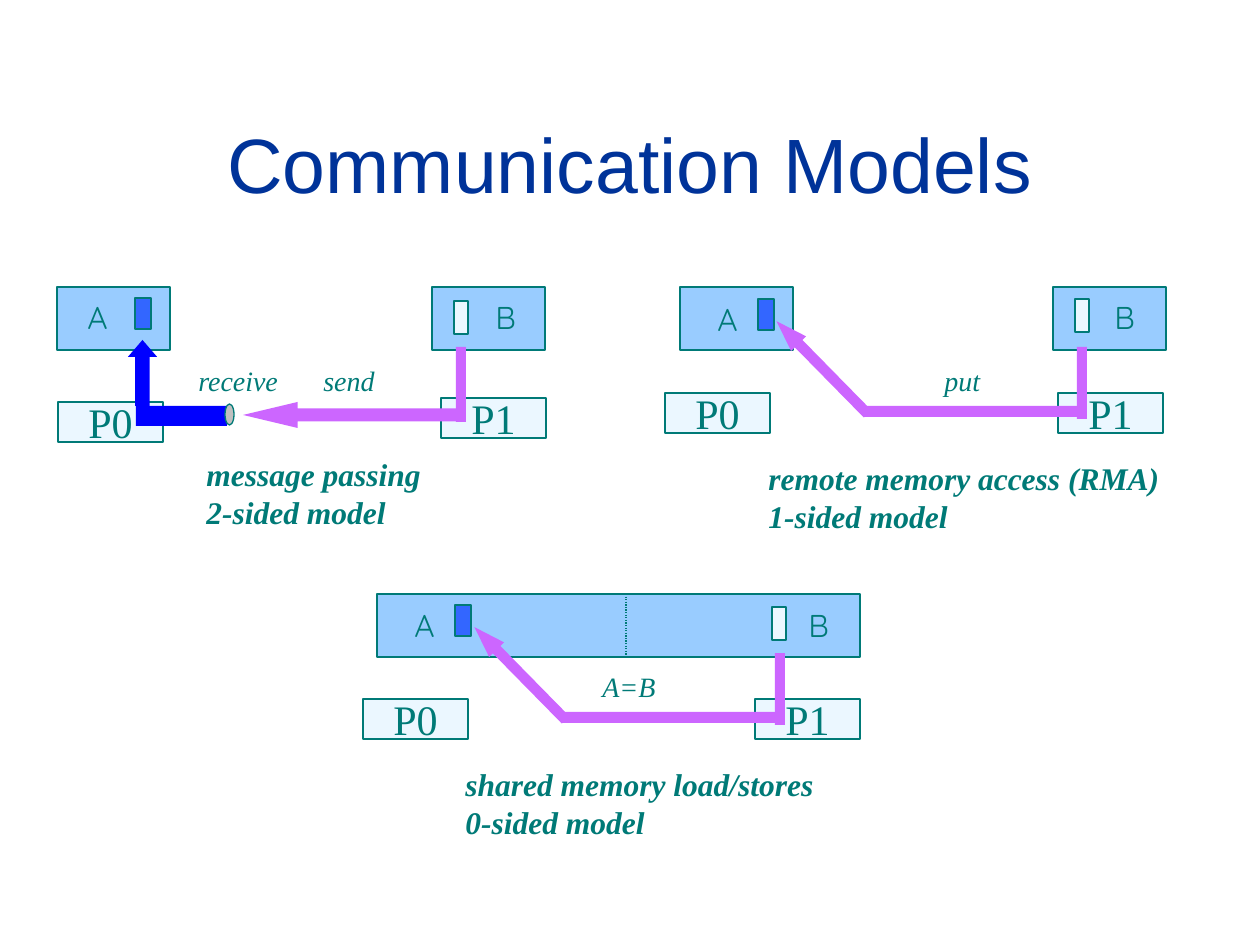
"""Build the Communication Models slide: message passing, remote memory access and shared memory."""
from dataclasses import dataclass

from lxml.etree import SubElement
from pptx import Presentation
from pptx.dml.color import RGBColor as Rgb
from pptx.enum.dml import MSO_LINE
from pptx.enum.shapes import MSO_CONNECTOR, MSO_SHAPE as Preset
from pptx.enum.text import MSO_ANCHOR as Anchor, MSO_AUTO_SIZE as AutoSize, PP_ALIGN as Align
from pptx.oxml.ns import qn
from pptx.util import Emu, Pt

SCALE = 914400 / 126


@dataclass(frozen=True)
class Theme:
    title: str = "003399"
    ink: str = "007A77"
    memory: str = "99CCFF"
    pale: str = "EBF7FF"
    target: str = "3366FF"
    receive: str = "0000FF"
    send: str = "CC66FF"
    buffer: str = "C0C0C0"
    title_size: int = 44
    processor_size: int = 24
    caption_size: int = 18
    action_size: int = 16
    hairline: float = 0.75
    sans: str = "Arial"
    serif: str = "Times New Roman"
    rounded: str = "Quicksand"


theme = Theme()


def write(shape, text, *, size, font=theme.serif, color=theme.ink, bold=False, italic=False,
          align=Align.LEFT, anchor=Anchor.TOP, wrap=False, fit=AutoSize.NONE):
    frame = shape.text_frame
    frame.text = text
    frame.word_wrap = wrap
    frame.auto_size = fit
    frame.vertical_anchor = anchor
    for paragraph in frame.paragraphs:
        paragraph.alignment = align
        for run in paragraph.runs:
            run.font.size = Pt(size)
            run.font.name = font
            run.font.color.rgb = Rgb.from_string(color)
            run.font.bold = bold
            run.font.italic = italic


def draw(preset, box, fill, outlined=False, adjustments=(), rotation=0):
    shape = slide.shapes.add_shape(preset, *(Emu(round(px * SCALE)) for px in box))
    shape.shadow.inherit = False
    shape.fill.solid()
    shape.fill.fore_color.rgb = Rgb.from_string(fill)
    if outlined:
        shape.line.color.rgb = Rgb.from_string(theme.ink)
        shape.line.width = Pt(theme.hairline)
    else:
        shape.line.fill.background()
    for index, value in enumerate(adjustments):
        shape.adjustments[index] = value
    shape.rotation = rotation
    return shape


presentation = Presentation()
presentation.slide_width = Emu(round(1260 * SCALE))
presentation.slide_height = Emu(round(945 * SCALE))
slide = presentation.slides.add_slide(presentation.slide_layouts[5])

title = slide.shapes.title
title.left, title.top, title.width, title.height = (
    Emu(round(px * SCALE)) for px in (42, 84, 1176, 158))
write(title, "Communication Models", size=theme.title_size, font=theme.sans, color=theme.title,
      align=Align.CENTER, anchor=Anchor.MIDDLE, wrap=True)

processors = [("P0", 58, 402), ("P1", 441, 398), ("P0", 665, 393),
              ("P1", 1058, 393), ("P0", 363, 699), ("P1", 755, 699)]
for name, left, top in processors:
    processor = draw(Preset.RECTANGLE, (left, top, 105, 40), theme.pale, outlined=True)
    write(processor, name, size=theme.processor_size, align=Align.CENTER, anchor=Anchor.MIDDLE)

for left, top, width in [(57, 287, 113), (432, 287, 113), (680, 287, 113),
                         (1053, 287, 113), (377, 594, 483)]:
    draw(Preset.RECTANGLE, (left, top, width, 63), theme.memory, outlined=True)

divider = slide.shapes.add_connector(
    MSO_CONNECTOR.STRAIGHT, *(Emu(round(px * SCALE)) for px in (626, 594, 626, 657)))
divider.line.color.rgb = Rgb.from_string(theme.ink)
divider.line.width = Pt(theme.hairline)
divider.line.dash_style = MSO_LINE.ROUND_DOT
SubElement(divider._element.spPr, qn("a:effectLst"))

for left, top in [(135, 298), (758, 299), (455, 605)]:
    draw(Preset.RECTANGLE, (left, top, 16, 31), theme.target, outlined=True)
for left, top in [(454, 301), (1075, 299), (772, 607)]:
    draw(Preset.RECTANGLE, (left, top, 14, 33), theme.pale, outlined=True)

draw(Preset.RECTANGLE, (136, 406, 91, 20), theme.receive)
draw(Preset.UP_ARROW, (128, 340, 29, 66), theme.receive, adjustments=(0.5, 0.58))
draw(Preset.OVAL, (225, 404, 9, 21), theme.buffer, outlined=True)
draw(Preset.LEFT_ARROW, (243, 402, 218, 26), theme.send, adjustments=(0.5, 2.1))
draw(Preset.RECTANGLE, (456, 347, 10, 75), theme.send)

for dx, dy in [(0, 0), (-302, 306)]:
    draw(Preset.LEFT_ARROW, (757 + dx, 357 + dy, 130, 21), theme.send,
         adjustments=(0.5, 1.51), rotation=45.5)
    draw(Preset.RECTANGLE, (1077 + dx, 347 + dy, 10, 72), theme.send)
    draw(Preset.RECTANGLE, (863 + dx, 406 + dy, 221, 11), theme.send)

variable = dict(size=theme.caption_size, font=theme.rounded)
action = dict(size=theme.action_size, italic=True)
caption = dict(size=theme.caption_size, bold=True, italic=True)
labels = [
    ("A", (75, 292, 52, 50), variable),
    ("B", (483, 292, 48, 50), variable),
    ("A", (705, 294, 52, 50), variable),
    ("B", (1102, 292, 48, 50), variable),
    ("A", (402, 600, 52, 50), variable),
    ("B", (796, 600, 48, 50), variable),
    ("receive", (186, 357, 112, 47), action),
    ("send", (311, 357, 82, 47), action),
    ("put", (932, 357, 68, 47), action),
    ("A=B", (590, 663, 84, 47), action),
    ("message passing\n2-sided model", (194, 449, 248, 88), caption),
    ("remote memory access (RMA)\n1-sided model", (756, 453, 424, 88), caption),
    ("shared memory load/stores\n0-sided model", (453, 759, 382, 88), caption),
]
for text, box, style in labels:
    label = slide.shapes.add_textbox(*(Emu(round(px * SCALE)) for px in box))
    write(label, text, fit=AutoSize.SHAPE_TO_FIT_TEXT, **style)

presentation.save("out.pptx")
